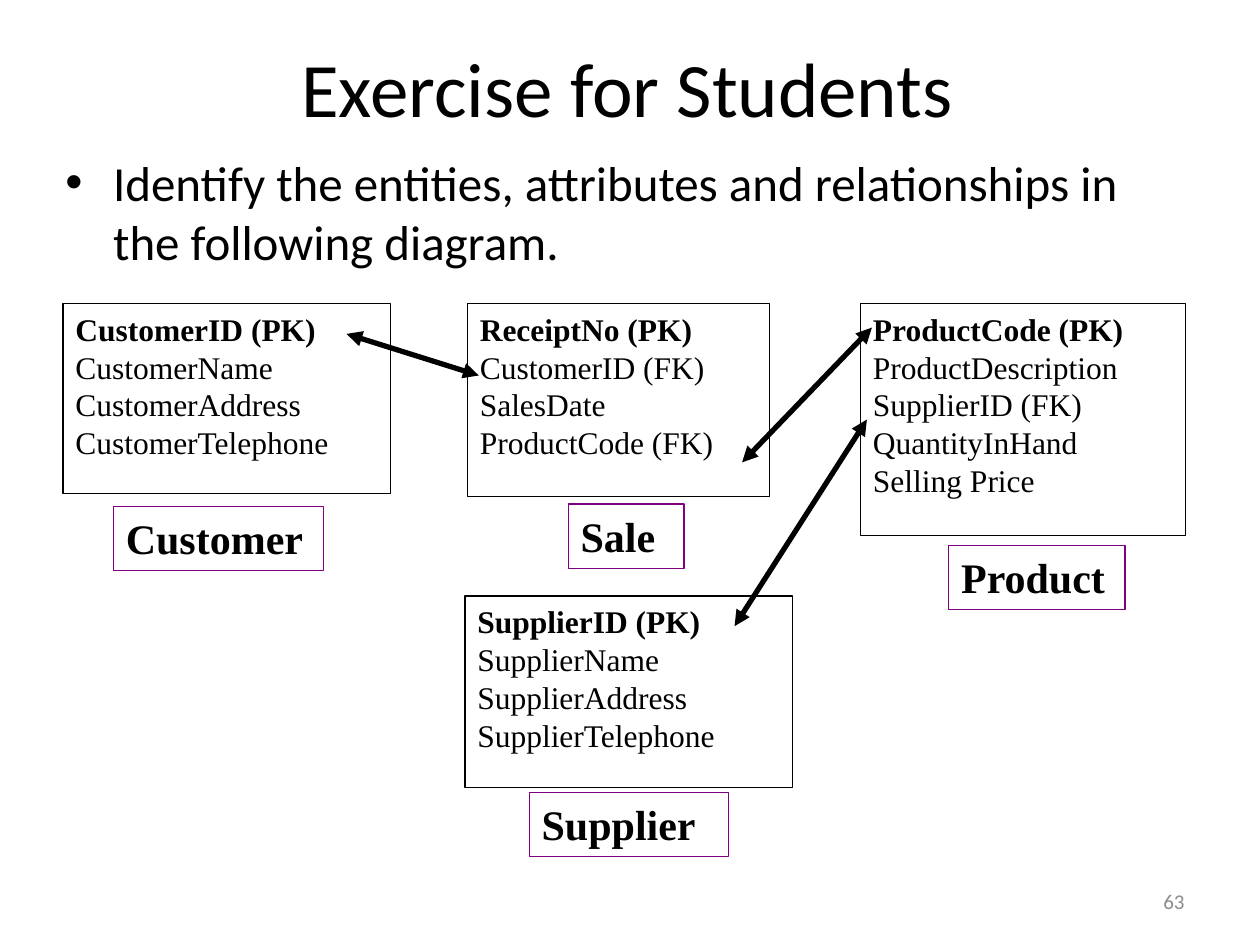
from lxml import etree
from pptx import Presentation
from pptx import util as u
from pptx.dml.color import RGBColor
from pptx.enum import shapes, text
from pptx.oxml.ns import qn

BLACK, WHITE, PURPLE, GREY = "000000", "FFFFFF", "800080", "8C8C8C"
SERIF, SANS = "Times New Roman", "Calibri"

ENTITIES = [
    ("Customer", (0.5, 2.41, 2.6, 1.51), (0.9, 4.02, 1.67, 0.51),
     ["CustomerID (PK)", "CustomerName", "CustomerAddress", "CustomerTelephone"]),
    ("Sale", (3.71, 2.41, 2.4, 1.53), (4.51, 4, 0.92, 0.51),
     ["ReceiptNo (PK)", "CustomerID (FK)", "SalesDate", "ProductCode (FK)"]),
    ("Product", (6.83, 2.41, 2.58, 1.84), (7.53, 4.33, 1.4, 0.51),
     ["ProductCode (PK)", "ProductDescription", "SupplierID (FK)",
      "QuantityInHand", "Selling Price"]),
    ("Supplier", (3.69, 4.73, 2.6, 1.52), (4.2, 6.29, 1.58, 0.51),
     ["SupplierID (PK)", "SupplierName", "SupplierAddress", "SupplierTelephone"]),
]
RELATIONSHIPS = [
    (5.89, 3.67, 6.92, 2.6),
    (6.88, 3.33, 5.83, 4.97),
    (2.75, 2.65, 3.8, 2.98),
]


def color(value):
    return RGBColor.from_string(value)


def inches(box):
    return [u.Inches(value) for value in box]


def write(para, words, font, size, ink=BLACK, bold=False):
    span = para.add_run()
    span.text = words
    formats = {"name": font, "size": u.Pt(size), "bold": bold}
    for name, value in formats.items():
        setattr(span.font, name, value)
    span.font.color.rgb = color(ink)


def add_text(page, box, words, size, align, anchor, ink=BLACK):
    frame = page.shapes.add_textbox(*inches(box)).text_frame
    formats = {"word_wrap": True, "vertical_anchor": anchor}
    for name, value in formats.items():
        setattr(frame, name, value)
    para = frame.paragraphs[0]
    para.alignment = align
    write(para, words, SANS, size, ink)
    return para


def add_frame(group, box, edge, fill=None):
    shape = group.shapes.add_shape(shapes.MSO_SHAPE.RECTANGLE, *inches(box))
    shape.shadow.inherit = False
    if fill:
        shape.fill.solid()
        shape.fill.fore_color.rgb = color(fill)
    else:
        shape.fill.background()
    shape.line.color.rgb = color(edge)
    shape.line.width = u.Pt(0.75)
    formats = {"word_wrap": True, "vertical_anchor": text.MSO_ANCHOR.TOP}
    for name, value in formats.items():
        setattr(shape.text_frame, name, value)
    return shape.text_frame


def add_entity(page, name, table_box, label_box, attributes):
    group = page.shapes.add_group_shape()
    table = add_frame(group, table_box, BLACK, WHITE)
    for index, attribute in enumerate(attributes):
        para = table.add_paragraph() if index else table.paragraphs[0]
        para.alignment = text.PP_ALIGN.LEFT
        write(para, attribute, SERIF, 18, bold=index == 0)
    label = add_frame(group, label_box, PURPLE)
    label.paragraphs[0].alignment = text.PP_ALIGN.LEFT
    write(label.paragraphs[0], name, SERIF, 24, bold=True)


def add_relationship(page, ends):
    arrow = page.shapes.add_connector(shapes.MSO_CONNECTOR.STRAIGHT, *inches(ends))
    arrow.line.color.rgb = color(BLACK)
    arrow.line.width = u.Pt(3)
    line = arrow.line._get_or_add_ln()
    for end in ("a:headEnd", "a:tailEnd"):
        etree.SubElement(line, qn(end), type="triangle")
    etree.SubElement(arrow._element.spPr, qn("a:effectLst"))


def add_task(page, box, words):
    para = add_text(page, box, words, 28, text.PP_ALIGN.LEFT, text.MSO_ANCHOR.TOP)
    para.space_before = u.Pt(5.6)
    properties = para._p.get_or_add_pPr()
    indent = u.Inches(0.38)
    properties.set("marL", str(indent))
    properties.set("indent", str(-indent))
    etree.SubElement(properties, qn("a:buFont"), typeface="Arial")
    etree.SubElement(properties, qn("a:buChar"), char="•")


def main():
    deck = Presentation()
    deck.slide_width, deck.slide_height = inches((10, 7.5))
    page = deck.slides.add_slide(deck.slide_layouts[6])
    for entity in ENTITIES:
        add_entity(page, *entity)
    add_text(page, (0.39, 0.25, 9.18, 0.87), "Exercise for Students", 44,
             text.PP_ALIGN.CENTER, text.MSO_ANCHOR.MIDDLE)
    for ends in RELATIONSHIPS:
        add_relationship(page, ends)
    add_task(page, (0.42, 1.16, 9.1, 5.4),
             "Identify the entities, attributes and relationships in the following diagram.")
    add_text(page, (7.17, 6.95, 2.33, 0.4), "63", 12,
             text.PP_ALIGN.RIGHT, text.MSO_ANCHOR.MIDDLE, GREY)
    deck.save("out.pptx")


if __name__ == "__main__":
    main()
